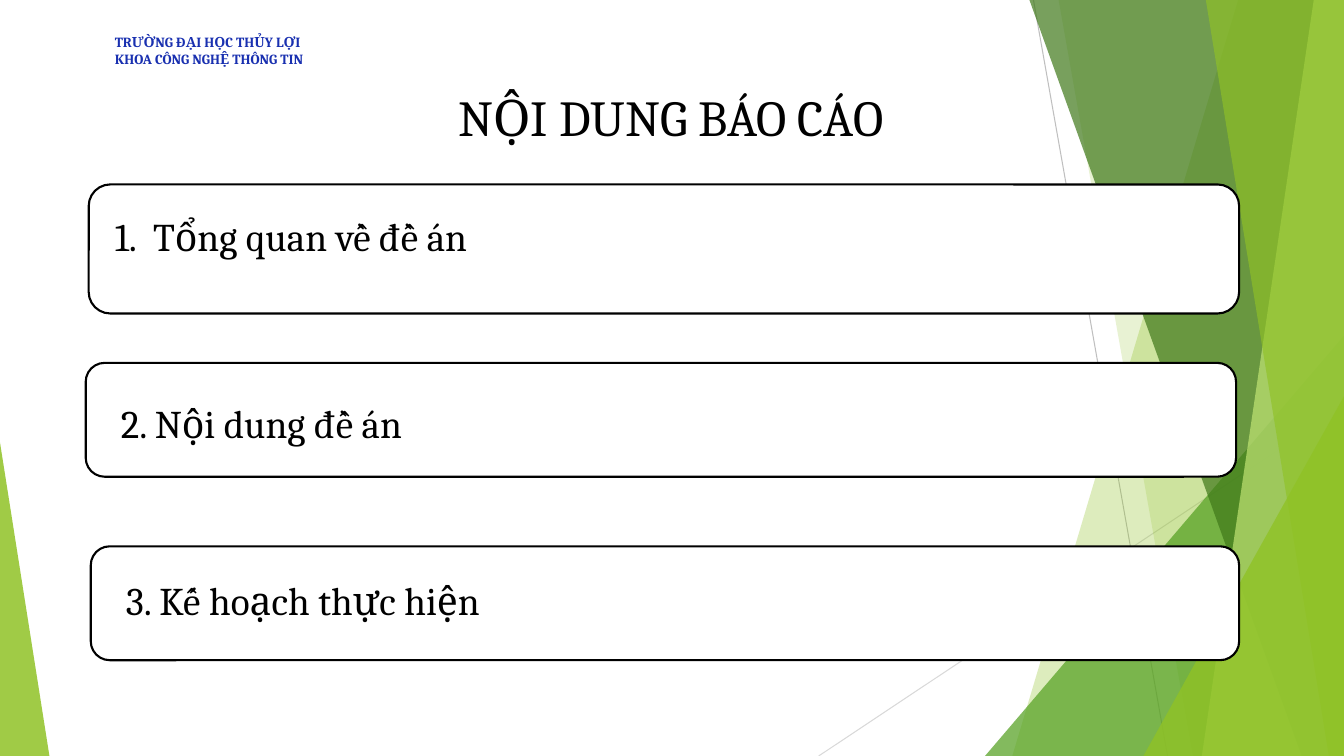
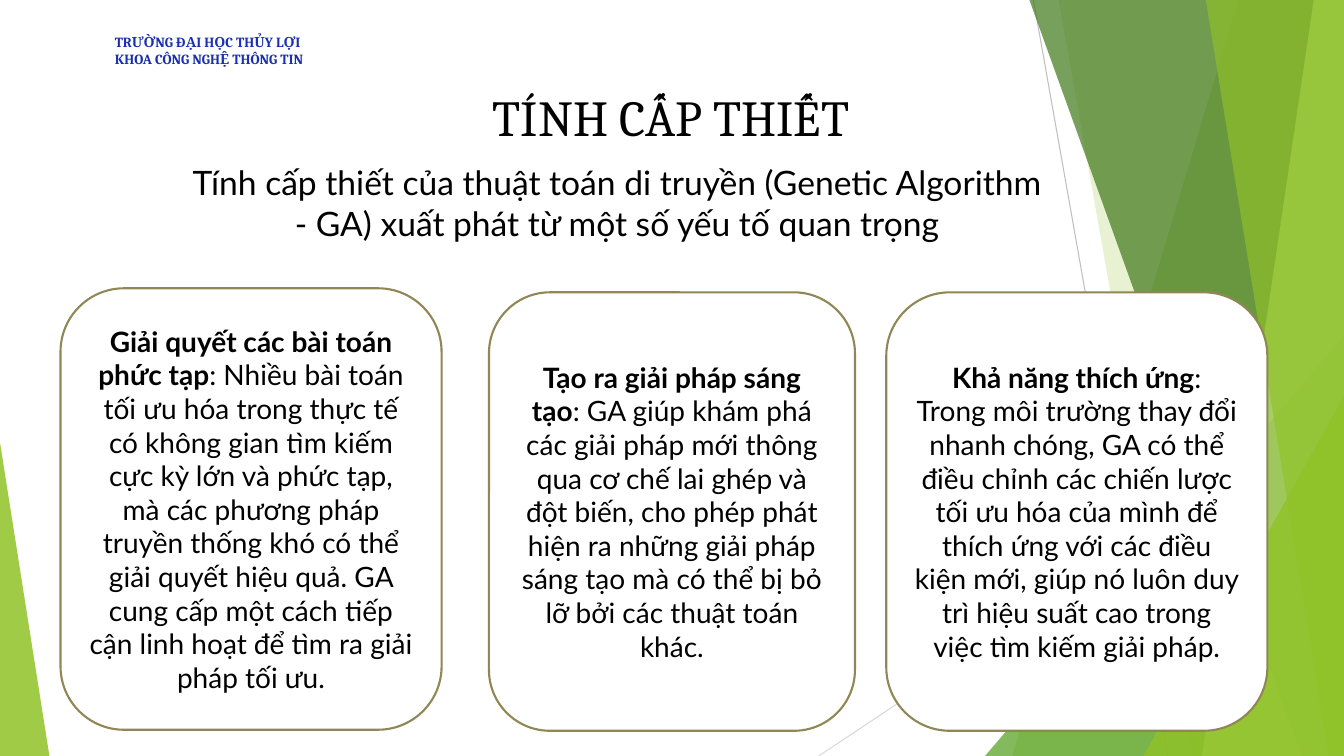
from lxml.etree import SubElement
from pptx import Presentation
from pptx.dml.color import RGBColor
from pptx.enum.shapes import MSO_CONNECTOR, MSO_SHAPE
from pptx.enum.text import MSO_ANCHOR, MSO_AUTO_SIZE, PP_ALIGN
from pptx.oxml.ns import qn
from pptx.util import Inches, Pt

COLORS = {
    "text": "000000",
    "header": "1930B0",
    "paper": "FFFFFF",
    "card_line": "918655",
    "lime": "90C226",
    "green": "54A021",
    "forest": "3F7819",
    "pale": "C0E474",
    "gray": "BFBFBF",
    "light_gray": "D9D9D9",
}
SERIF, SANS = "Cambria", "Lato"
WIDTH, HEIGHT = 13.33, 7.5

HEADER = ["TRƯỜNG ĐẠI HỌC THỦY LỢI", "KHOA CÔNG NGHỆ THÔNG TIN"]
AGENDA = [
    ((0.88, 1.83, 11.41, 1.28), (1.04, 2.06, 11.18, 0.57), "Tổng quan về đề án", True),
    ((0.85, 3.6, 11.41, 1.13), (1.1, 3.91, 11.07, 0.57), "2. Nội dung đề án", False),
    ((0.9, 5.42, 11.39, 1.13), (1.15, 5.67, 11.07, 0.57), "3. Kế hoạch thực hiện", False),
]
SUBTITLE = (
    "Tính cấp thiết của thuật toán di truyền (Genetic Algorithm - GA) "
    "xuất phát từ một số yếu tố quan trọng"
)
REASONS = [
    (
        (0.6, 2.86, 3.78, 4.38),
        "Giải quyết các bài toán phức tạp",
        ": Nhiều bài toán tối ưu hóa trong thực tế có không gian tìm kiếm cực kỳ lớn "
        "và phức tạp, mà các phương pháp truyền thống khó có thể giải quyết hiệu quả. "
        "GA cung cấp một cách tiếp cận linh hoạt để tìm ra giải pháp tối ưu.",
    ),
    (
        (4.85, 2.9, 3.63, 4.35),
        "Tạo ra giải pháp sáng tạo",
        ": GA giúp khám phá các giải pháp mới thông qua cơ chế lai ghép và đột biến, "
        "cho phép phát hiện ra những giải pháp sáng tạo mà có thể bị bỏ lỡ bởi các "
        "thuật toán khác.",
    ),
    (
        (8.79, 2.9, 3.78, 4.35),
        "Khả năng thích ứng",
        ": Trong môi trường thay đổi nhanh chóng, GA có thể điều chỉnh các chiến lược "
        "tối ưu hóa của mình để thích ứng với các điều kiện mới, giúp nó luôn duy trì "
        "hiệu suất cao trong việc tìm kiếm giải pháp.",
    ),
]


def rgb(name):
    return RGBColor.from_string(COLORS[name])


def inches(box):
    return [Inches(value) for value in box]


def write_text(shape, paragraphs, size, font=SERIF, color="text", bold=False,
               align=PP_ALIGN.LEFT, anchor=MSO_ANCHOR.TOP, numbered=False):
    frame = shape.text_frame
    frame.word_wrap = True
    frame.auto_size = MSO_AUTO_SIZE.NONE
    frame.vertical_anchor = anchor
    for index, content in enumerate(paragraphs):
        paragraph = frame.add_paragraph() if index else frame.paragraphs[0]
        paragraph.alignment = align
        runs = [(content, bold)] if isinstance(content, str) else content
        for text, is_bold in runs:
            run = paragraph.add_run()
            run.text = text
            run.font.size = Pt(size)
            run.font.name = font
            run.font.bold = is_bold
            run.font.color.rgb = rgb(color)
        if numbered:
            properties = paragraph.runs[0].font and paragraph._p.get_or_add_pPr()
            properties.set("marL", str(Inches(0.38)))
            properties.set("indent", str(-Inches(0.38)))
            SubElement(properties, qn("a:buFont"), typeface="+mj-lt")
            SubElement(properties, qn("a:buAutoNum"), type="arabicPeriod")


def add_text(slide, box, paragraphs, **text_format):
    write_text(slide.shapes.add_textbox(*inches(box)), paragraphs, **text_format)


def add_panel(slide, box, line):
    panel = slide.shapes.add_shape(MSO_SHAPE.ROUNDED_RECTANGLE, *inches(box))
    panel.shadow.inherit = False
    panel.fill.solid()
    panel.fill.fore_color.rgb = rgb("paper")
    panel.line.color.rgb = rgb(line)
    panel.line.width = Pt(1.5)
    return panel


def paint(shape, color, opacity):
    shape.shadow.inherit = False
    shape.line.fill.background()
    shape.fill.solid()
    shape.fill.fore_color.rgb = rgb(color)
    color_element = shape.element.spPr.find(qn("a:solidFill"))[0]
    SubElement(color_element, qn("a:alpha"), val=str(opacity * 1000))
    return shape


def add_ray(slide, start, end, color):
    ray = slide.shapes.add_connector(MSO_CONNECTOR.STRAIGHT, *inches(start + end))
    ray.line.color.rgb = rgb(color)
    ray.line.width = Pt(0.75)
    SubElement(ray.element.spPr, qn("a:effectLst"))
    return ray


def add_band(slide, top_x, bottom_x, color, opacity):
    builder = slide.shapes.build_freeform(Inches(top_x), 0)
    corners = [(WIDTH, 0), (WIDTH, HEIGHT), (bottom_x, HEIGHT)]
    builder.add_line_segments([inches(corner) for corner in corners], close=True)
    return paint(builder.convert_to_shape(), color, opacity)


def add_wedge(slide, left, top, right, peak, color, opacity):
    box = (left, top, right - left, HEIGHT - top)
    wedge = slide.shapes.add_shape(MSO_SHAPE.ISOSCELES_TRIANGLE, *inches(box))
    wedge.adjustments[0] = peak
    return paint(wedge, color, opacity)


def move_backdrop_to_layout(slide):
    parts = [
        add_ray(slide, (10.25, 0), (11.58, HEIGHT), "gray"),
        add_ray(slide, (WIDTH, 4.03), (8.12, HEIGHT), "light_gray"),
        add_band(slide, 12.28, 10.04, "lime", 30),
        add_band(slide, 10.5, 11.83, "lime", 20),
        add_wedge(slide, 9.77, 3.33, WIDTH, 1, "green", 72),
        add_band(slide, 10.21, 12.91, "forest", 70),
        add_band(slide, 13.03, 11.92, "pale", 70),
        add_band(slide, 11.96, 13.18, "lime", 65),
        add_wedge(slide, 11.34, 3.93, WIDTH, 1, "lime", 80),
        add_wedge(slide, 0, 4.39, 0.49, 0, "lime", 85),
    ]
    layout_tree = slide.slide_layout.shapes.element
    for part in parts:
        layout_tree.append(part.element)


def add_titled_slide(presentation, title, title_height):
    slide = presentation.slides.add_slide(presentation.slide_layouts[5])
    placeholder = slide.shapes.title
    box = inches((0.74, 0.8, 11.83, title_height))
    placeholder.left, placeholder.top, placeholder.width, placeholder.height = box
    write_text(placeholder, [title], size=36, align=PP_ALIGN.CENTER)
    add_text(slide, (1.04, 0.28, 2.55, 0.61), HEADER, size=10, color="header", bold=True)
    return slide


def add_agenda_slide(presentation):
    slide = add_titled_slide(presentation, "NỘI DUNG BÁO CÁO", 1.06)
    for panel_box, text_box, text, numbered in AGENDA:
        add_panel(slide, panel_box, "text")
        add_text(slide, text_box, [text], size=28, numbered=numbered)
    return slide


def add_reasons_slide(presentation):
    slide = add_titled_slide(presentation, "TÍNH CẤP THIẾT", 0.76)
    add_text(slide, (1.71, 1.56, 8.82, 0.91), [SUBTITLE], size=24, font=SANS,
             align=PP_ALIGN.CENTER)
    for box, heading, detail in REASONS:
        card = add_panel(slide, box, "card_line")
        write_text(card, [[(heading, True), (detail, False)]], size=20, font=SANS,
                   align=PP_ALIGN.CENTER, anchor=MSO_ANCHOR.MIDDLE)


def main():
    presentation = Presentation()
    presentation.slide_width, presentation.slide_height = inches((WIDTH, HEIGHT))
    agenda = add_agenda_slide(presentation)
    move_backdrop_to_layout(agenda)
    add_reasons_slide(presentation)
    presentation.save("out.pptx")


if __name__ == "__main__":
    main()
